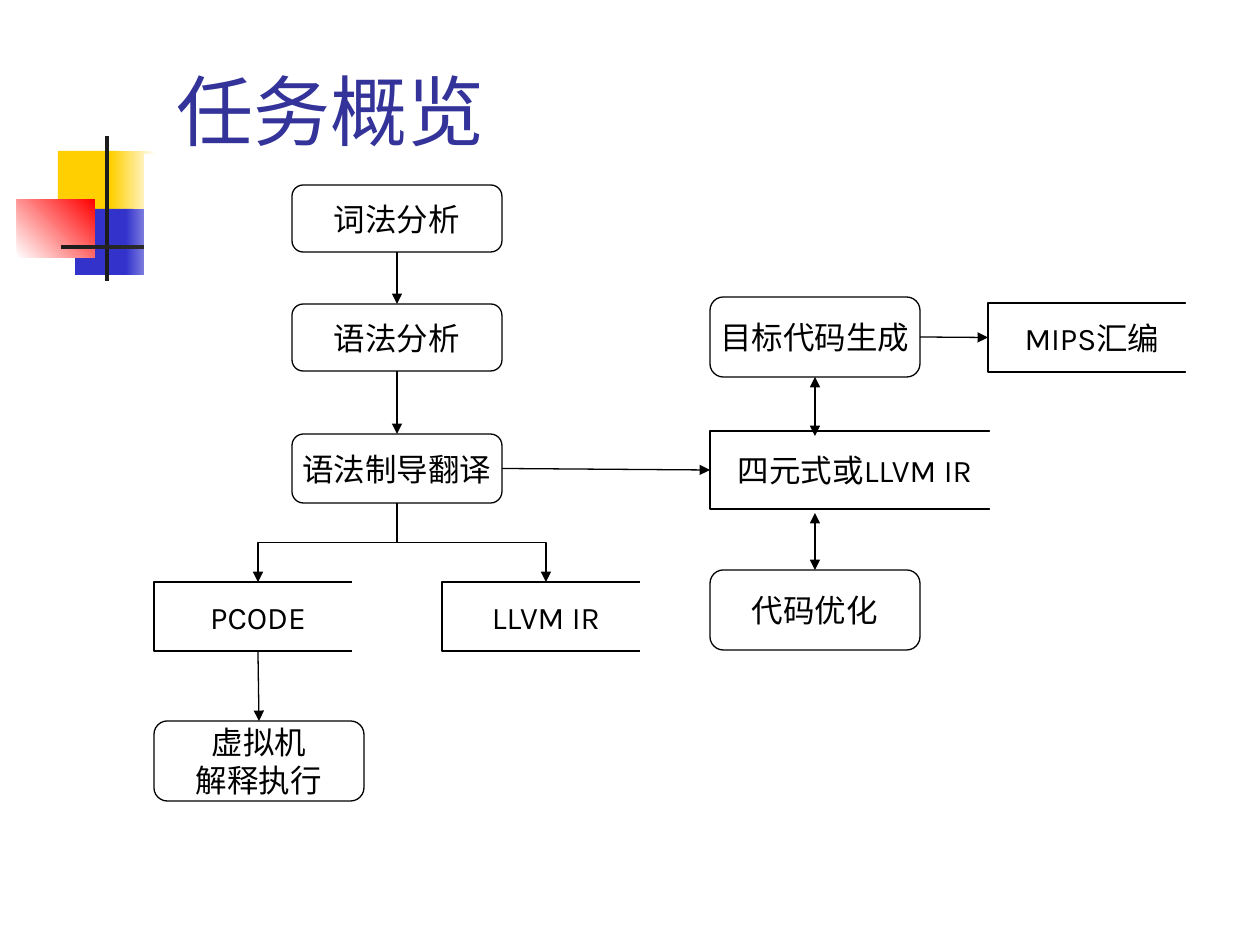
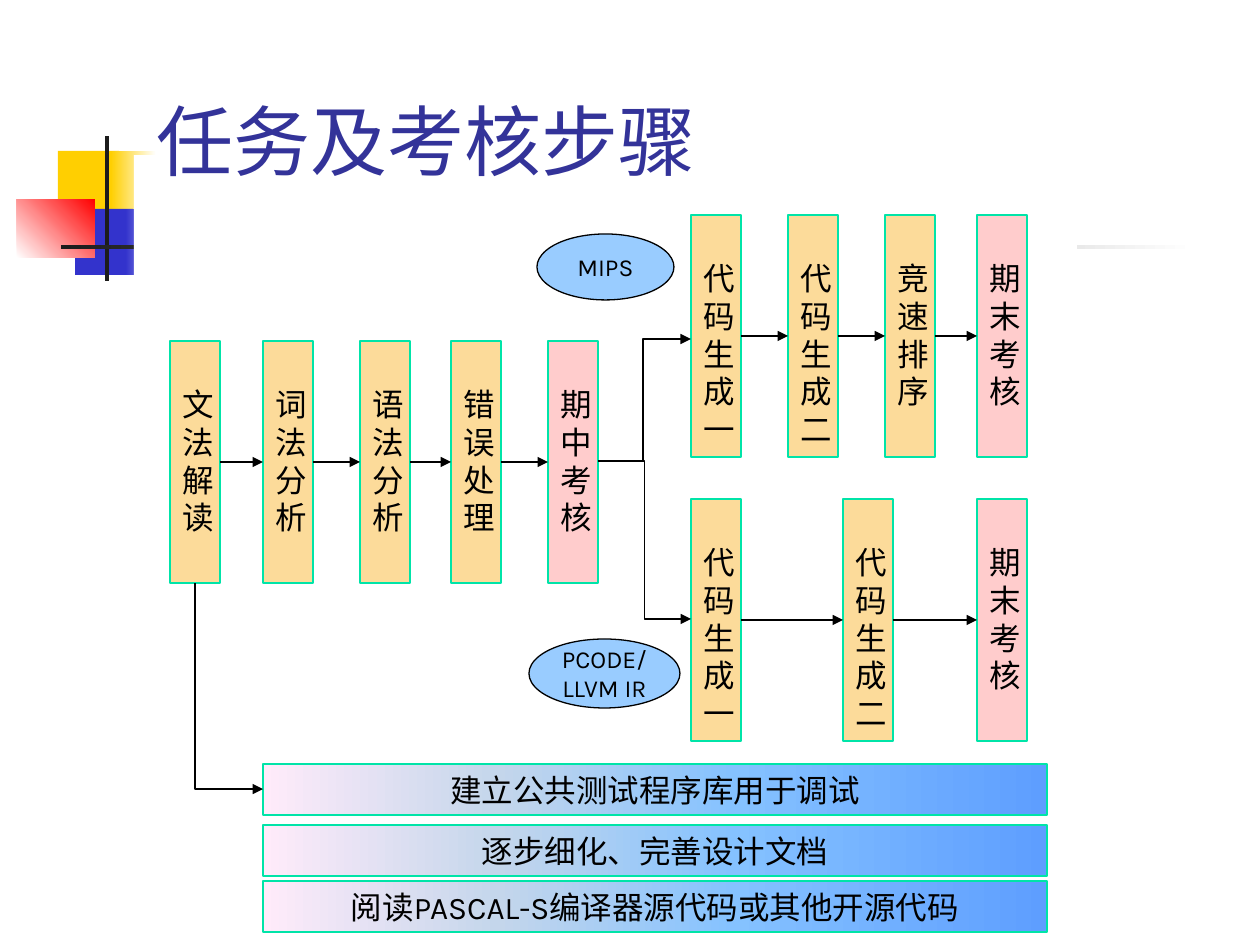
from dataclasses import dataclass
from itertools import pairwise

from lxml.etree import SubElement
from pptx import Presentation
from pptx.dml.color import RGBColor
from pptx.enum.shapes import MSO_CONNECTOR, MSO_SHAPE
from pptx.enum.text import MSO_ANCHOR, PP_ALIGN
from pptx.oxml import parse_xml
from pptx.oxml.ns import nsdecls, qn
from pptx.util import Pt

PX = 914400 / 126


@dataclass(frozen=True)
class Theme:
    font: str = "Karla"
    title_size: int = 44
    body_size: int = 18
    label_size: int = 14
    line_width: float = 0.75
    title: str = "333399"
    ink: str = "000000"
    paper: str = "FFFFFF"
    yellow: str = "FFCF01"
    blue: str = "3333CC"
    red: str = "FF0000"
    cross: str = "1C1C1C"
    edge: str = "00E4A8"
    stage: str = "FCDB9A"
    exam: str = "FFCCCC"
    route: str = "99CCFF"
    habit: tuple = ((0, "FFEBFA"), (30, "C4D6EB"), (60, "85C2FF"), (100, "5E9EFF"))


theme = Theme()


def box(slide, preset, at, fill, line=None, lines=(), size=theme.body_size, angle=0):
    """Add a shape; fill is one colour or a tuple of gradient stops."""
    shape = slide.shapes.add_shape(preset, *(round(v * PX) for v in at))
    shape.shadow.inherit = False
    if isinstance(fill, tuple):
        shape.fill.gradient()
        stops = "".join(f'<a:gs pos="{pos * 1000}"><a:srgbClr val="{colour}"/></a:gs>'
                        for pos, colour in fill)
        properties = shape._element.spPr
        properties.replace(properties.find(qn("a:gradFill")), parse_xml(
            f'<a:gradFill {nsdecls("a")} rotWithShape="1"><a:gsLst>{stops}</a:gsLst>'
            f'<a:lin ang="{angle * 60000}" scaled="0"/></a:gradFill>'))
    else:
        shape.fill.solid()
        shape.fill.fore_color.rgb = RGBColor.from_string(fill)
    if line:
        shape.line.color.rgb = RGBColor.from_string(line)
        shape.line.width = Pt(theme.line_width)
    else:
        shape.line.fill.background()
    frame = shape.text_frame
    frame.word_wrap = False
    frame.vertical_anchor = MSO_ANCHOR.MIDDLE
    for i, words in enumerate(lines):
        paragraph = frame.add_paragraph() if i else frame.paragraphs[0]
        paragraph.alignment = PP_ALIGN.CENTER
        run = paragraph.add_run()
        run.text = words
        run.font.name, run.font.size = theme.font, Pt(size)
        run.font.color.rgb = RGBColor.from_string(theme.ink)
    return shape


def arrow(slide, start, end, bend=None, down_first=False, both=False):
    """Link two ends, each either an (x, y) point or a (shape, side) pair."""
    points = [p if isinstance(p[0], int) else (0, 0) for p in (start, end)]
    (x1, y1), (x2, y2) = points
    if down_first:  # laid out sideways, then turned a quarter about its centre
        cx, cy, dx, dy = (x1 + x2) / 2, (y1 + y2) / 2, (x2 - x1) / 2, (y2 - y1) / 2
        x1, y1, x2, y2 = cx - dy, cy + dx, cx + dy, cy - dx
    kind = MSO_CONNECTOR.ELBOW if bend else MSO_CONNECTOR.STRAIGHT
    link = slide.shapes.add_connector(kind, *(round(v * PX) for v in (x1, y1, x2, y2)))
    properties = link._element.spPr
    if bend:
        properties.find(qn("a:prstGeom")).set("prst", bend)
    if down_first:
        properties.find(qn("a:xfrm")).set("rot", "5400000")
    if not isinstance(start[0], int):
        link.begin_connect(*start)
    if not isinstance(end[0], int):
        link.end_connect(*end)
    link.line.color.rgb = RGBColor.from_string(theme.ink)
    link.line.width = Pt(theme.line_width)
    outline = properties.find(qn("a:ln"))
    if both:
        SubElement(outline, qn("a:headEnd"), type="triangle")
    SubElement(outline, qn("a:tailEnd"), type="triangle")
    SubElement(properties, qn("a:effectLst"))


deck = Presentation()
deck.slide_width, deck.slide_height = round(1260 * PX), round(945 * PX)
RECT, ROUND, OVAL = MSO_SHAPE.RECTANGLE, MSO_SHAPE.ROUNDED_RECTANGLE, MSO_SHAPE.OVAL
TOP, LEFT, BOTTOM, RIGHT = range(4)

# Shared decoration, white panel and title
ornaments = [
    ((58, 151, 61, 66), theme.yellow, 0),
    ((111, 151, 45, 66), ((0, theme.yellow), (100, theme.paper)), 0),
    ((75, 209, 58, 66), theme.blue, 0),
    ((126, 209, 50, 66), ((0, theme.blue), (100, theme.paper)), 0),
    ((17, 199, 78, 59), ((0, theme.paper), (100, theme.red)), 315),
    ((105, 136, 4, 145), theme.cross, 0),
    ((61, 245, 1134, 4), ((0, theme.cross), (100, theme.paper)), 0),
]
pages = []
for heading, panel, title_at in [
    ("任务概览", (144, 154, 1055, 706), (164, 26, 1074, 136)),
    ("任务及考核步骤", (134, 155, 943, 777), (144, 76, 1074, 116)),
]:
    page = deck.slides.add_slide(deck.slide_layouts[6])
    for at, fill, angle in ornaments:
        box(page, RECT, at, fill, angle=angle)
    box(page, RECT, panel, theme.paper)
    title = page.shapes.add_textbox(*(round(v * PX) for v in title_at)).text_frame
    title.word_wrap = True
    title.vertical_anchor = MSO_ANCHOR.BOTTOM
    run = title.paragraphs[0].add_run()
    run.text = heading
    run.font.name, run.font.size = theme.font, Pt(theme.title_size)
    run.font.color.rgb = RGBColor.from_string(theme.title)
    pages.append(page)
overview, steps = pages

# Overview: processing steps in rounded boxes
process = {}
for name, x, y, height, lines in [
    ("lexer", 292, 185, 67, ["词法分析"]),
    ("parser", 292, 304, 67, ["语法分析"]),
    ("translation", 292, 434, 69, ["语法制导翻译"]),
    ("optimizer", 710, 570, 80, ["代码优化"]),
    ("generator", 710, 297, 80, ["目标代码生成"]),
    ("machine", 154, 721, 80, ["虚拟机", "解释执行"]),
]:
    process[name] = box(overview, ROUND, (x, y, 210, height),
                        theme.paper, theme.ink, lines)

# Overview: data stores, open on the right
store = {}
for name, x, y, width, height, words in [
    ("quads", 710, 431, 290, 78, "四元式或LLVM IR"),
    ("pcode", 154, 582, 208, 69, "PCODE"),
    ("llvm", 442, 582, 208, 69, "LLVM IR"),
    ("mips", 988, 303, 208, 69, "MIPS汇编"),
]:
    store[name] = box(overview, RECT, (x, y, width, height),
                      theme.paper, theme.ink, [words])
    box(overview, RECT, (x + width - 10, y - 9, 20, height + 18), theme.paper)

# Overview: flow
arrow(overview, (process["lexer"], BOTTOM), (process["parser"], TOP))
arrow(overview, (process["parser"], BOTTOM), (process["translation"], TOP))
arrow(overview, (process["translation"], RIGHT), (store["quads"], LEFT))
arrow(overview, (process["generator"], RIGHT), (store["mips"], LEFT))
arrow(overview, (process["generator"], BOTTOM), (815, 436), both=True)
arrow(overview, (815, 513), (process["optimizer"], TOP), both=True)
arrow(overview, (store["pcode"], BOTTOM), (process["machine"], TOP))
for target_x in (258, 546):
    arrow(overview, (397, 503), (target_x, 582), "bentConnector3", down_first=True)

# Steps: lanes of upright stages, the last of each lane being an exam
for y, lane in [
    (341, [(170, "文法解读"), (263, "词法分析"), (360, "语法分析"),
           (451, "错误处理"), (548, "期中考核")]),
    (215, [(691, "代码生成一"), (788, "代码生成二"), (885, "竞速排序"),
           (977, "期末考核")]),
    (499, [(691, "代码生成一"), (843, "代码生成二"), (977, "期末考核")]),
]:
    stages = []
    for x, words in lane:
        fill = theme.exam if words.endswith("考核") else theme.stage
        stage = box(steps, RECT, (x, y, 50, 242), fill, theme.edge, [words])
        stage.text_frame.word_wrap = True
        stage.text_frame.vertical_anchor = MSO_ANCHOR.TOP
        stage.text_frame.margin_top = round(44 * PX)
        stages.append(stage)
    for before, after in pairwise(stages):
        arrow(steps, (before, RIGHT), (after, LEFT))

# Steps: the two routes after the midterm
box(steps, OVAL, (537, 234, 137, 66), theme.route, theme.ink, ["MIPS"], theme.label_size)
box(steps, OVAL, (529, 639, 151, 69), theme.route, theme.ink,
    ["PCODE/", "LLVM IR"], theme.label_size)
arrow(steps, (598, 461), (691, 619), "bentConnector3")
arrow(steps, (643, 461), (691, 339), "bentConnector2", down_first=True)

# Steps: habits kept up throughout
for y, words in [(764, "建立公共测试程序库用于调试"), (825, "逐步细化、完善设计文档"),
                 (881, "阅读PASCAL-S编译器源代码或其他开源代码")]:
    box(steps, RECT, (263, y, 784, 51), theme.habit, theme.edge, [words])
arrow(steps, (195, 583), (263, 789), "bentConnector2", down_first=True)

deck.save("out.pptx")
